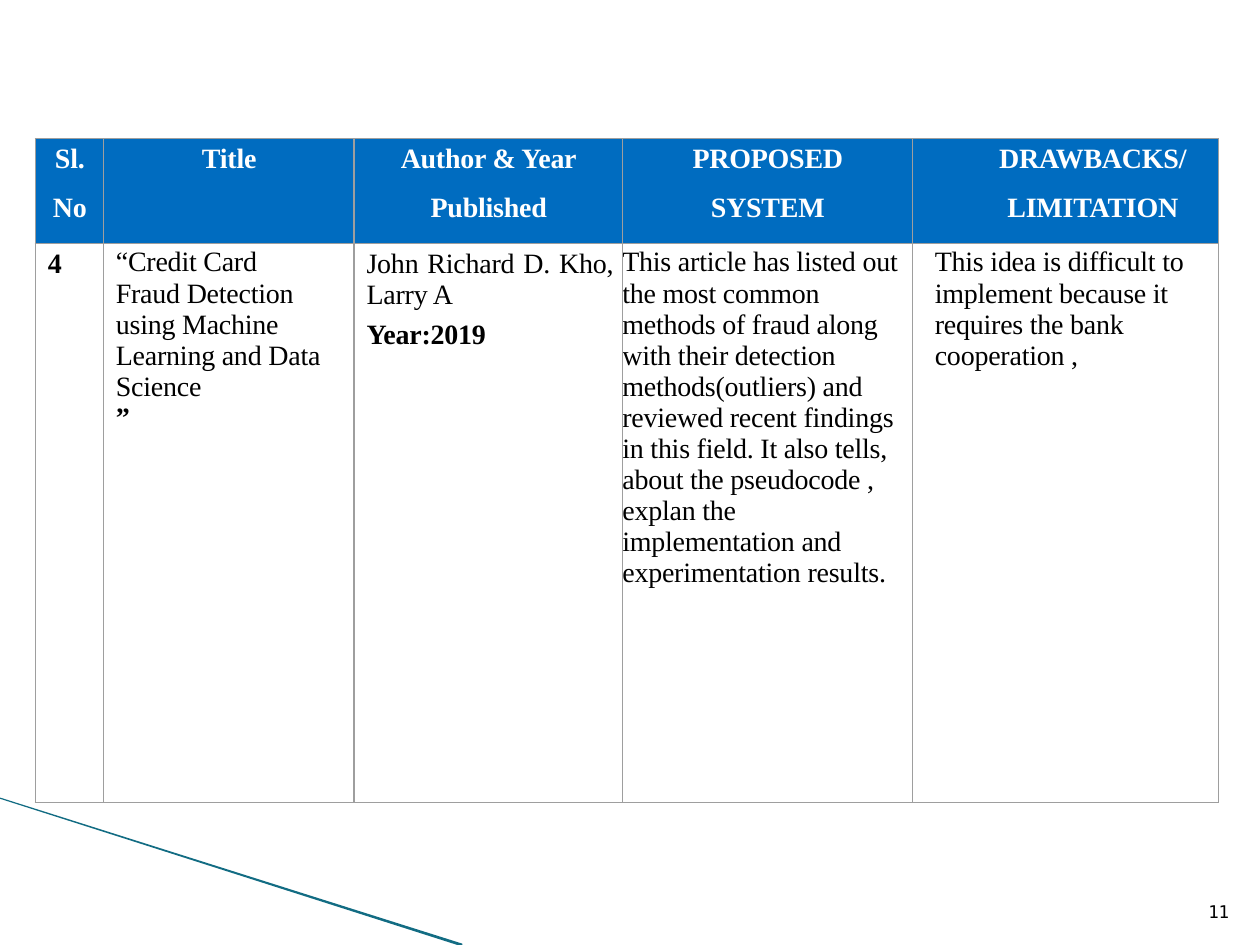
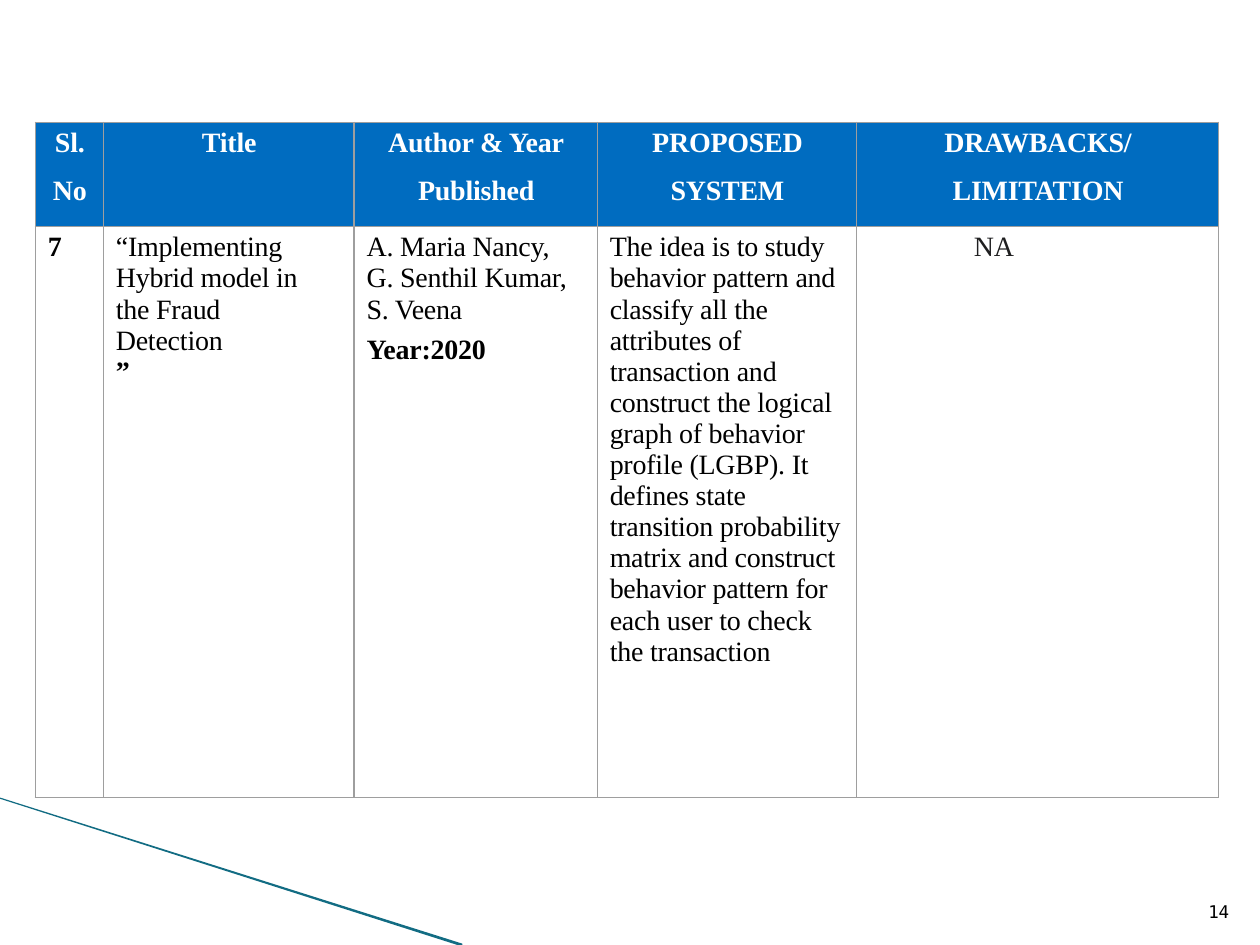
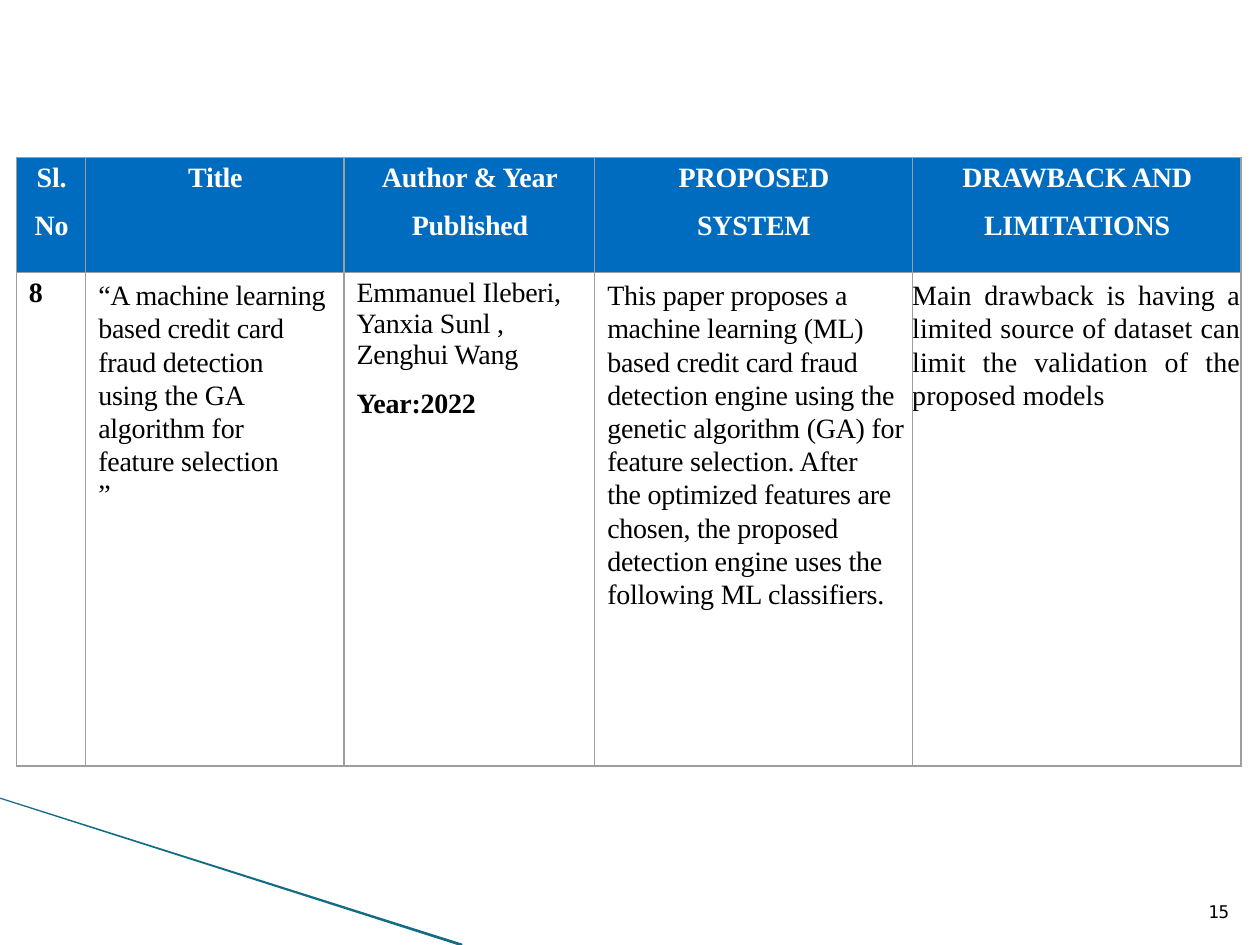
from copy import deepcopy
from dataclasses import dataclass, field
from lxml.etree import SubElement
from pptx import Presentation
from pptx.dml.color import RGBColor
from pptx.enum.text import PP_ALIGN as Align
from pptx.oxml.ns import qn
from pptx.util import Inches, Pt

UNIT = Inches(0.01)
GRID_COLUMNS, GRID_ROWS = 1000, 750


@dataclass(frozen=True)
class Theme:
    header_fill: str = "006CC0"
    header_text: str = "FFFFFF"
    body_text: str = "000000"
    muted_text: str = "1F1F20"
    border: str = "9E9E9E"
    wedge: str = "126C83"
    table_font: str = "Times New Roman"
    number_font: str = "DejaVu Sans Mono"
    table_size: float = 16
    number_size: float = 10
    border_width: float = 0.75
    tracking: float = -0.1


THEME = Theme()


@dataclass(frozen=True)
class Box:
    left: float
    top: float
    width: float
    height: float

    def emu(self):
        return [round(n * UNIT) for n in (self.left, self.top, self.width, self.height)]


@dataclass
class Line:
    text: str
    bold: bool = False
    before: float = 0
    spacing: float = 0
    align: Align = Align.LEFT
    color: str = THEME.body_text
    tracking: float = THEME.tracking


@dataclass
class Entry:
    lines: list
    left: float = 10
    right: float = 0
    top: float = 4


@dataclass
class Survey:
    page: int
    box: Box
    columns: list
    rows: list
    entries: list
    drawback_heading: list = field(default_factory=lambda: ["DRAWBACKS/", "LIMITATION"])
    heading_indent: float = 0
    heading_gap: float = 9.8


def style_run(run, font_name, size, color, bold=False, tracking=THEME.tracking):
    run.font.name = font_name
    run.font.size = Pt(size)
    run.font.bold = bold
    run.font.color.rgb = RGBColor.from_string(color)
    run._r.get_or_add_rPr().set("spc", str(round(tracking * 100)))


def write_line(paragraph, line):
    paragraph.text = line.text
    paragraph.alignment = line.align
    if line.before:
        paragraph.space_before = Pt(line.before)
    if line.spacing:
        paragraph.line_spacing = Pt(line.spacing)
    for run in paragraph.runs:
        style_run(run, THEME.table_font, THEME.table_size, line.color, line.bold, line.tracking)
    for line_break in paragraph._p.findall(qn("a:br")):
        line_break.append(deepcopy(paragraph.runs[0]._r.rPr))


def set_borders(cell):
    properties = cell._tc.get_or_add_tcPr()
    for position, side in enumerate(("lnL", "lnR", "lnT", "lnB")):
        border = SubElement(properties, qn(f"a:{side}"), w=str(Pt(THEME.border_width)))
        fill = SubElement(border, qn("a:solidFill"))
        SubElement(fill, qn("a:srgbClr"), val=THEME.border)
        properties.insert(position, border)


def fill_cell(cell, entry, color=None):
    cell.margin_left, cell.margin_right = round(entry.left * UNIT), round(entry.right * UNIT)
    cell.margin_top, cell.margin_bottom = round(entry.top * UNIT), 0
    if color:
        cell.fill.solid()
        cell.fill.fore_color.rgb = RGBColor.from_string(color)
    else:
        cell.fill.background()
    set_borders(cell)
    frame = cell.text_frame
    for index, line in enumerate(entry.lines):
        write_line(frame.add_paragraph() if index else frame.paragraphs[0], line)


def heading(words, gap, indent=0):
    lines = [Line(word, True, gap if index else 0, align=Align.CENTER, color=THEME.header_text)
             for index, word in enumerate(words)]
    return Entry(lines, left=1 + indent)


def add_survey_table(slide, box, survey):
    frame = slide.shapes.add_table(2, len(survey.columns), *box.emu())
    table = frame.table
    table.first_row = table.horz_banding = False
    for column, share in zip(table.columns, survey.columns):
        column.width = round(box.width * share / sum(survey.columns) * UNIT)
    for row, share in zip(table.rows, survey.rows):
        row.height = round(box.height * share / sum(survey.rows) * UNIT)
    names = [["Sl.", "No"], ["Title"], ["Author & Year", "Published"], ["PROPOSED", "SYSTEM"]]
    headings = [heading(words, survey.heading_gap) for words in names]
    headings.append(heading(survey.drawback_heading, survey.heading_gap, survey.heading_indent))
    for index, (title, entry) in enumerate(zip(headings, survey.entries)):
        fill_cell(table.cell(0, index), title, THEME.header_fill)
        fill_cell(table.cell(1, index), entry)


def add_corner_wedge(slide, box):
    corners = [(0, 0), (1, 0.99), (1, 1), (0.99, 1), (0, 0.01)]
    points = [(box.left + x * box.width, box.top + y * box.height) for x, y in corners]
    builder = slide.shapes.build_freeform(*points[0], scale=UNIT)
    builder.add_line_segments(points[1:], close=True)
    wedge = builder.convert_to_shape()
    wedge.shadow.inherit = False
    wedge.fill.solid()
    wedge.fill.fore_color.rgb = RGBColor.from_string(THEME.wedge)
    wedge.line.fill.background()


def add_page_number(slide, box, page):
    frame = slide.shapes.add_textbox(*box.emu()).text_frame
    frame.word_wrap = True
    frame.margin_left, frame.margin_top = 4 * UNIT, 3 * UNIT
    frame.margin_right = frame.margin_bottom = 0
    frame.text = str(page)
    style_run(frame.paragraphs[0].runs[0], THEME.number_font, THEME.number_size, THEME.body_text)


def add_survey_slide(presentation, survey):
    slide = presentation.slides.add_slide(presentation.slide_layouts[6])
    add_corner_wedge(slide, Box(0, 633, 367, 117))
    add_survey_table(slide, survey.box, survey)
    add_page_number(slide, Box(955, 712, 26, 24), survey.page)


SURVEYS = [
    Survey(
        11, Box(28, 110, 939, 527), [54, 199, 213, 230, 243], [83, 444],
        [
            Entry([Line("4", True)]),
            Entry([Line("“Credit Card Fraud Detection using Machine Learning and Data Science"),
                   Line("”", True)], right=21, top=3),
            Entry([Line("John Richard D. Kho, Larry A", align=Align.JUSTIFY),
                   Line("Year:2019", True, 5.3)], right=7),
            Entry([Line("This article has listed out the most common methods of fraud along with "
                        "their detection methods(outliers) and reviewed recent findings in this "
                        "field. It also tells, about the pseudocode , explan the\vimplementation "
                        "and experimentation results.")], left=0, top=3),
            Entry([Line("This idea is difficult to implement because it requires the bank "
                        "cooperation ,")], left=18, top=3),
        ],
        heading_indent=43, heading_gap=10.1,
    ),
    Survey(
        14, Box(28, 97, 939, 536), [54, 199, 193, 206, 287], [83, 453],
        [
            Entry([Line("7", True)]),
            Entry([Line("“Implementing Hybrid model in the Fraud Detection"),
                   Line("”", True)], right=21),
            Entry([Line("A. Maria Nancy, G. Senthil Kumar, S. Veena"),
                   Line("Year:2020", True, 5.2)], right=15),
            Entry([Line("The idea is to study behavior pattern and classify all the attributes of "
                        "transaction and construct the logical graph of behavior profile (LGBP). "
                        "It defines state transition probability matrix and construct behavior "
                        "pattern for each user to check the transaction")], right=8),
            Entry([Line("NA", color=THEME.muted_text)], left=93),
        ],
    ),
    Survey(
        15, Box(13, 125, 972, 483), [55, 205, 199, 252, 261], [91, 392],
        [
            Entry([Line("8", True)]),
            Entry([Line("“A machine learning based credit card fraud detection\vusing the GA "
                        "algorithm for\vfeature selection", spacing=19),
                   Line("”", spacing=19)], right=5, top=5),
            Entry([Line("Emmanuel Ileberi, Yanxia Sunl , Zenghui Wang"),
                   Line("Year:2022", True, 10.1)], right=10),
            Entry([Line("This paper proposes a machine learning (ML) based credit card fraud "
                        "detection engine using the genetic algorithm (GA) for feature selection. "
                        "After\vthe optimized features are chosen, the proposed detection engine "
                        "uses the following ML classifiers.", spacing=19)], top=5),
            Entry([Line("Main drawback is having a limited source of dataset can limit the "
                        "validation of the proposed models", spacing=19, align=Align.JUSTIFY,
                        tracking=0.1)], left=0, top=5),
        ],
        drawback_heading=["DRAWBACK AND", "LIMITATIONS"],
    ),
]


def main():
    presentation = Presentation()
    presentation.slide_width = GRID_COLUMNS * UNIT
    presentation.slide_height = GRID_ROWS * UNIT
    for survey in SURVEYS:
        add_survey_slide(presentation, survey)
    presentation.save("out.pptx")


if __name__ == "__main__":
    main()
